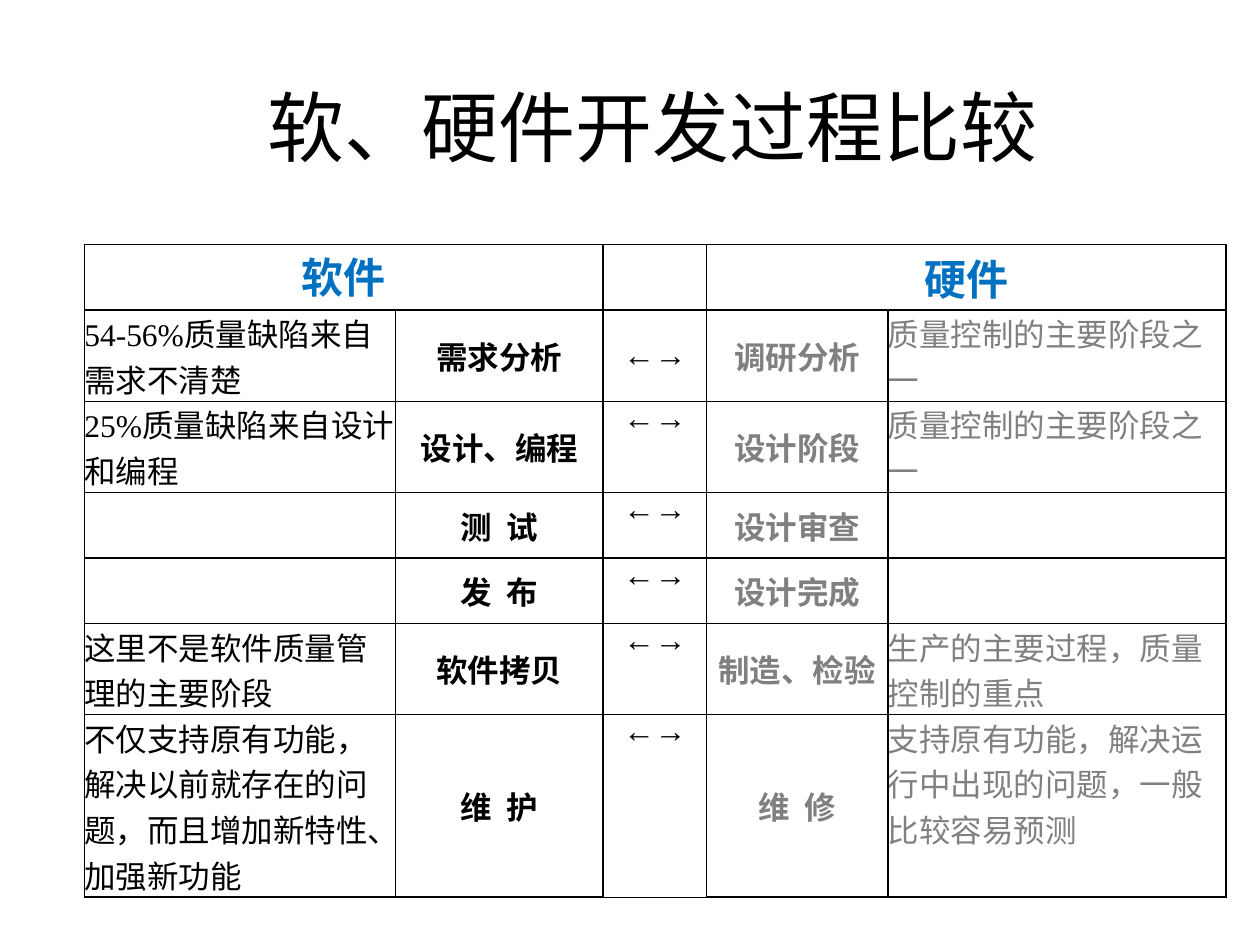
import lxml.etree
import pptx
import pptx.dml.color
import pptx.enum.text
import pptx.oxml.ns
import pptx.util

Cm = pptx.util.Cm
Pt = pptx.util.Pt
ALIGN = pptx.enum.text.PP_ALIGN
ANCHOR = pptx.enum.text.MSO_ANCHOR
qn = pptx.oxml.ns.qn

BLACK = pptx.dml.color.RGBColor(0x00, 0x00, 0x00)
GREY = pptx.dml.color.RGBColor(0x80, 0x80, 0x80)
BLUE = pptx.dml.color.RGBColor(0x00, 0x70, 0xC0)

COLUMN_WIDTHS = (6.27, 4.19, 2.08, 3.66, 6.81)
ROW_HEIGHTS = (1.32, 1.52, 1.52, 1.32, 1.32, 1.52, 3.05)
ARROW_COLUMN = 2

# software note, software phase, hardware phase, hardware note
PHASES = (
    ("54-56%质量缺陷来自需求不清楚", "需求分析", "调研分析", "质量控制的主要阶段之一"),
    ("25%质量缺陷来自设计和编程", "设计、编程", "设计阶段", "质量控制的主要阶段之一"),
    ("", "测  试", "设计审查", ""),
    ("", "发  布", "设计完成", ""),
    ("这里不是软件质量管理的主要阶段", "软件拷贝", "制造、检验", "生产的主要过程，质量控制的重点"),
    ("不仅支持原有功能，解决以前就存在的问题，而且增加新特性、加强新功能",
     "维  护", "维  修", "支持原有功能，解决运行中出现的问题，一般比较容易预测"),
)


def add_run(paragraph, text, font_name, size, color, bold=False):
    run = paragraph.add_run()
    run.text = text
    run.font.name = font_name
    run.font.size = Pt(size)
    run.font.bold = bold
    run.font.color.rgb = color


def set_borders(cell, side_width, edge_width):
    """Draw black borders: side_width left and right, edge_width above and below."""
    properties = cell._tc.get_or_add_tcPr()
    widths = (("a:lnL", side_width), ("a:lnR", side_width),
              ("a:lnT", edge_width), ("a:lnB", edge_width))
    for position, (tag, width) in enumerate(widths):
        line = lxml.etree.Element(qn(tag), w=str(Pt(width)))
        fill = lxml.etree.SubElement(line, qn("a:solidFill"))
        lxml.etree.SubElement(fill, qn("a:srgbClr"), val=str(BLACK))
        properties.insert(position, line)


def fill_cell(cell, text, color, size=18, bold=True, align=ALIGN.CENTER, anchor=ANCHOR.MIDDLE):
    if not text:
        return
    cell.margin_left = cell.margin_right = cell.margin_top = cell.margin_bottom = 0
    cell.vertical_anchor = anchor
    paragraph = cell.text_frame.paragraphs[0]
    paragraph.alignment = align
    add_run(paragraph, text, "Times New Roman", size, color, bold)


def place_title(title, left, top, width, height):
    title.left, title.top, title.width, title.height = left, top, width, height
    title.text_frame.vertical_anchor = ANCHOR.MIDDLE
    paragraph = title.text_frame.paragraphs[0]
    paragraph.alignment = ALIGN.CENTER
    paragraph.line_spacing = 1.2
    add_run(paragraph, "软、硬件开发过程比较 ", "Calibri", 44, BLACK)


def add_comparison(slide, left, top, width, height):
    table = slide.shapes.add_table(
        len(ROW_HEIGHTS), len(COLUMN_WIDTHS), left, top, width, height).table
    table.first_row = table.horz_banding = False
    for column, share in zip(table.columns, COLUMN_WIDTHS):
        column.width = int(width * share / sum(COLUMN_WIDTHS))
    for row, share in zip(table.rows, ROW_HEIGHTS):
        row.height = int(height * share / sum(ROW_HEIGHTS))
        for index, cell in enumerate(row.cells):
            cell.fill.background()
            set_borders(cell, 1, 0.75 if index == ARROW_COLUMN else 1)

    for start, heading, anchor in ((0, "软件", ANCHOR.TOP), (3, "硬件", ANCHOR.MIDDLE)):
        table.cell(0, start).merge(table.cell(0, start + 1))
        fill_cell(table.cell(0, start), heading, BLUE, size=24, anchor=anchor)

    note = {"bold": False, "align": ALIGN.LEFT, "anchor": ANCHOR.TOP}
    for index, phase in enumerate(PHASES, start=1):
        software_note, software, hardware, hardware_note = phase
        arrow_anchor = ANCHOR.MIDDLE if index == 1 else ANCHOR.TOP
        fill_cell(table.cell(index, 0), software_note, BLACK, **note)
        fill_cell(table.cell(index, 1), software, BLACK)
        fill_cell(table.cell(index, ARROW_COLUMN), "←→", BLACK, anchor=arrow_anchor)
        fill_cell(table.cell(index, 3), hardware, GREY)
        fill_cell(table.cell(index, 4), hardware_note, GREY, **note)


def main():
    presentation = pptx.Presentation()
    presentation.slide_width = Cm(25.4)
    presentation.slide_height = Cm(19.05)
    slide = presentation.slides.add_slide(presentation.slide_layouts[5])
    place_title(slide.shapes.title, Cm(2.54), Cm(0.76), Cm(21.59), Cm(3.18))
    add_comparison(slide, Cm(1.7), Cm(4.93), Cm(sum(COLUMN_WIDTHS)), Cm(sum(ROW_HEIGHTS)))
    presentation.save("out.pptx")


if __name__ == "__main__":
    main()
